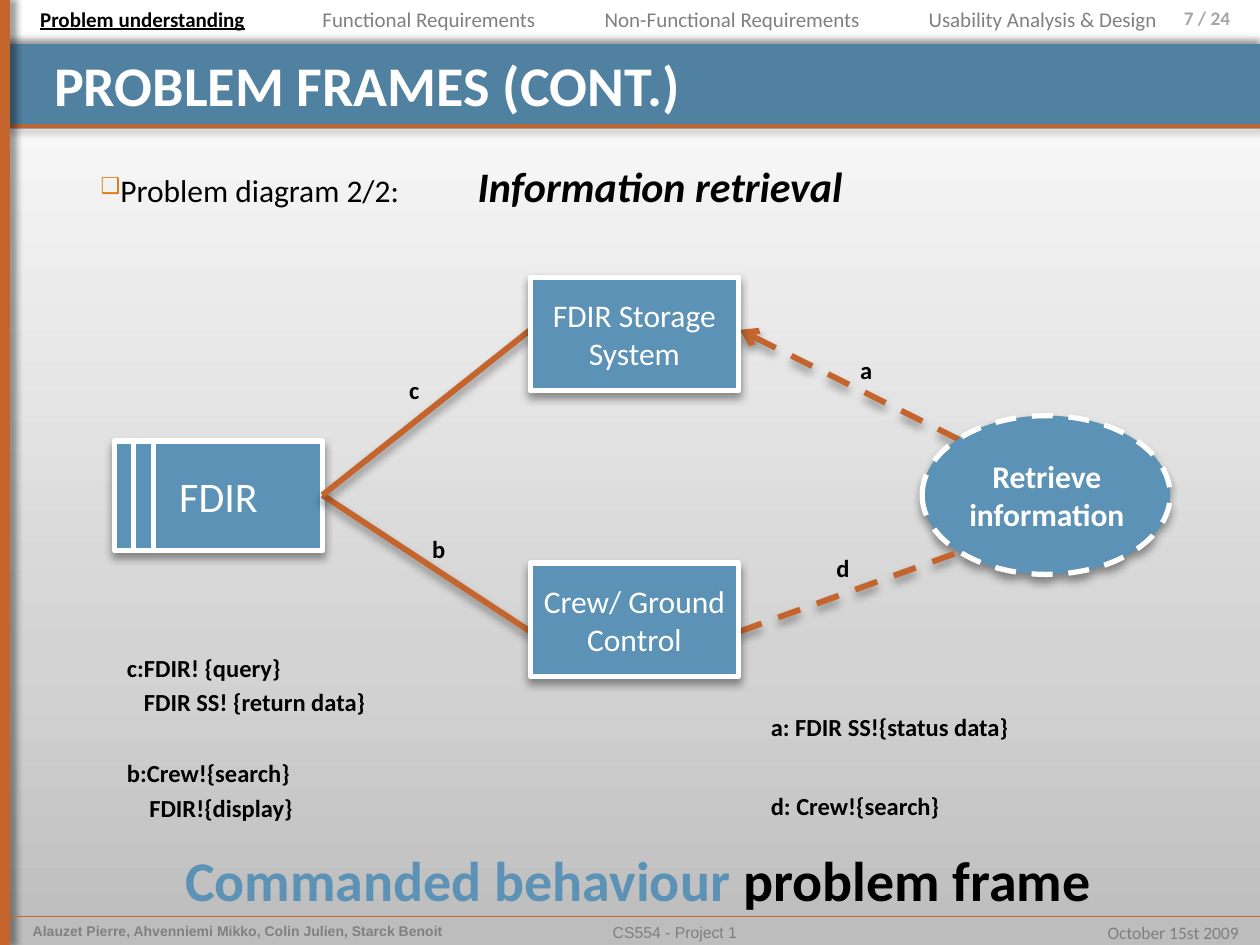
from lxml import etree
from pptx import Presentation
from pptx.dml.color import RGBColor
from pptx.enum.dml import MSO_LINE_DASH_STYLE as Dash
from pptx.enum.shapes import MSO_CONNECTOR, MSO_SHAPE as Shape
from pptx.enum.text import MSO_ANCHOR as Anchor, PP_ALIGN as Align
from pptx.oxml import parse_xml
from pptx.oxml.ns import nsdecls, qn
from pptx.util import Cm, Pt

COLORS = {
    "header": "5181A0", "accent": "C4652D", "node": "5C92B5", "white": "FFFFFF",
    "black": "000000", "grey": "808080", "footer": "7F7F7F", "number": "A6A6A6",
    "bullet": "DA7E18",
}
BACKDROP = [(0, "BDBDBD"), (30, "D3D3D3"), (100, "FFFFFF")]
DIAGRAM_SHADOW = (5.2, 90)


def color(name):
    return RGBColor.from_string(COLORS[name])


def set_font(font, size, tint="black", bold=False, name="Calibri"):
    font.name, font.size, font.bold = name, Pt(size), bold
    font.color.rgb = color(tint)


def set_shadow(item, shadow=None):
    effects = etree.SubElement(item._element.spPr, qn("a:effectLst"))
    if shadow:
        blur, angle = shadow
        effects.append(parse_xml(
            f'<a:outerShdw {nsdecls("a")} blurRad="{Pt(blur)}" dist="{Pt(3)}" '
            f'dir="{angle * 60000}" rotWithShape="0"><a:srgbClr val="000000">'
            '<a:alpha val="40000"/></a:srgbClr></a:outerShdw>'))


def set_backdrop(slide):
    fill = slide.background.fill
    fill.gradient()
    gradient = slide.background._cSld.bg.bgPr.find(qn("a:gradFill"))
    stops = gradient.find(qn("a:gsLst"))
    for stop in list(stops):
        stops.remove(stop)
    for position, tint in BACKDROP:
        stop = etree.SubElement(stops, qn("a:gs"), pos=str(position * 1000))
        etree.SubElement(stop, qn("a:srgbClr"), val=tint)
    gradient.find(qn("a:lin")).set("ang", str(270 * 60000))


def add_block(shapes, kind, box, fill, shadow, border=False, dash=None):
    block = shapes.add_shape(kind, *map(Cm, box))
    block.fill.solid()
    block.fill.fore_color.rgb = color(fill)
    if border:
        block.line.color.rgb = color("white")
        block.line.width = Pt(3)
        if dash:
            block.line.dash_style = dash
    else:
        block.line.fill.background()
    set_shadow(block, shadow)
    return block


def add_node(shapes, box, label, size=18):
    node = add_block(shapes, Shape.RECTANGLE, box, "node", DIAGRAM_SHADOW, border=True)
    frame = node.text_frame
    frame.word_wrap = True
    frame.vertical_anchor = Anchor.MIDDLE
    frame.text = label
    frame.paragraphs[0].alignment = Align.CENTER
    set_font(frame.paragraphs[0].font, size, "white")


def add_line(shapes, start, end, tint="accent", width=3.35, shadow=DIAGRAM_SHADOW,
             dash=None, arrow=False):
    line = shapes.add_connector(MSO_CONNECTOR.STRAIGHT, *map(Cm, start + end))
    line.line.color.rgb = color(tint)
    line.line.width = Pt(width)
    if dash:
        line.line.dash_style = dash
    if arrow:
        etree.SubElement(line.line._get_or_add_ln(), qn("a:tailEnd"), type="arrow")
    set_shadow(line, shadow)


def add_text(shapes, box, lines, size=14, tint="black", bold=True, name="Calibri",
             align=Align.LEFT, wrap=False, indent=0):
    frame = shapes.add_textbox(*map(Cm, box)).text_frame
    frame.word_wrap = wrap
    for index, line in enumerate(lines):
        paragraph = frame.paragraphs[0] if index == 0 else frame.add_paragraph()
        if index:
            paragraph.space_before = Pt(size * 0.2)
            paragraph._p.get_or_add_pPr().set("marL", str(Cm(indent)))
        paragraph.alignment = align
        paragraph.add_run().text = line
        set_font(paragraph.font, size, tint, bold, name)
    return frame.paragraphs[0]


def add_frame(shapes):
    add_block(shapes, Shape.RECTANGLE, (0, 0.89, 25.4, 1.7), "header", (4, 270))
    add_block(shapes, Shape.RECTANGLE, (0, 2.51, 25.4, 0.08), "accent", (4, 45))
    add_block(shapes, Shape.RECTANGLE, (0, 0, 0.2, 19.05), "accent", (4, 0))
    add_line(shapes, (0.2, 18.47), (25.4, 18.47), width=0.25, shadow=(4, 45))
    add_text(shapes, (0.41, 18.47, 9.32, 0.58),
             ["Alauzet Pierre, Ahvenniemi Mikko, Colin Julien, Starck Benoit"],
             8, "grey", name="Arial", wrap=True)
    add_text(shapes, (5.77, 18.47, 15.67, 0.58), ["CS554 - Project 1"], 9, "footer",
             bold=False, name="Arial", align=Align.CENTER, wrap=True)
    add_text(shapes, (22.02, 18.47, 3.2, 0.69), ["October 15st 2009"], 10, "footer",
             bold=False, align=Align.RIGHT)
    add_text(shapes, (22.43, 0, 2.62, 0.99), ["7 / 24"], 11, "number",
             align=Align.RIGHT, wrap=True)


def add_navigation(shapes):
    current = add_text(shapes, (0.56, 0, 4.72, 0.76), ["Problem understanding"], 12)
    current.font.underline = True
    for left, width, section in [
        (6.25, 4.88, "Functional Requirements"),
        (11.94, 5.72, "Non-Functional Requirements"),
        (18.47, 5.16, "Usability Analysis & Design"),
    ]:
        add_text(shapes, (left, 0, width, 0.76), [section], 12, "grey", bold=False)


def add_heading(shapes):
    add_text(shapes, (0.84, 0.89, 23.57, 1.47), ["PROBLEM FRAMES (CONT.)"], 32, "white",
             wrap=True)
    topic = add_text(shapes, (0.79, 3.12, 24, 15.14), ["Problem diagram 2/2:\t"], 18,
                     bold=False, wrap=True)
    properties = topic._p.get_or_add_pPr()
    properties.set("marL", "0")
    properties.set("indent", str(Cm(0.99)))
    extras = parse_xml(
        f'<a:pPr {nsdecls("a")}><a:buClr><a:srgbClr val="{COLORS["bullet"]}"/></a:buClr>'
        '<a:buSzPct val="70000"/><a:buFont typeface="Arial"/><a:buChar char="❑"/>'
        f'<a:tabLst><a:tab pos="{Cm(8.59)}" algn="l"/></a:tabLst></a:pPr>')
    for position, extra in enumerate(list(extras)):
        properties.insert(position, extra)
    subject = topic.add_run()
    subject.text = "Information retrieval"
    set_font(subject.font, 24, bold=True)
    subject.font.italic = True


def add_diagram(shapes):
    machine_side, left_side, right_side, goal_side = 6.5, 10.69, 14.91, 19.33
    storage_y, machine_y, crew_y = 6.65, 9.98, 12.73
    add_line(shapes, (goal_side, 8.86), (right_side, storage_y), dash=Dash.DASH, arrow=True)

    machine = shapes.add_group_shape().shapes
    add_node(machine, (2.31, 8.89, 4.19, 2.21), "FDIR", 24)
    for x in (2.69, 3.1):
        add_line(machine, (x, 8.89), (x, 11.1), "white", 3, shadow=None)

    goal = shapes.add_group_shape().shapes
    add_block(goal, Shape.OVAL, (18.59, 8.38, 5, 3.2), "node", DIAGRAM_SHADOW,
              border=True, dash=Dash.DASH)
    add_text(goal, (19.2, 9.09, 3.81, 1.8), ["Retrieve information"], 18, "white",
             align=Align.CENTER, wrap=True)

    add_line(shapes, (right_side, crew_y), (goal_side, 11.13), dash=Dash.DASH)
    for y in (crew_y, storage_y):
        add_line(shapes, (machine_side, machine_y), (left_side, y))
    add_node(shapes, (left_side, 11.35, 4.2, 2.29), "Crew/ Ground Control")
    add_node(shapes, (left_side, 5.59, 4.2, 2.29), "FDIR Storage System")
    for letter, x, y in [("a", 17.09, 7.04), ("b", 8.46, 10.64),
                         ("c", 8, 7.44), ("d", 16.61, 11.02)]:
        add_text(shapes, (x, y, 0.86, 0.86), [letter])


def add_legend(shapes):
    add_text(shapes, (2.31, 13.03, 5.36, 1.57),
             ["c:FDIR! {query}", "FDIR SS! {return data}"], indent=0.34)
    add_text(shapes, (2.31, 15.16, 4.06, 1.57),
             ["b:Crew!{search}", "FDIR!{display}"], indent=0.45)
    add_text(shapes, (15.29, 14.22, 5.46, 0.86), ["a: FDIR SS!{status data}"])
    add_text(shapes, (15.29, 15.82, 4.19, 0.86), ["d: Crew!{search}"])
    verdict = add_text(shapes, (3.38, 16.92, 18.97, 1.63), ["Commanded behaviour "], 32,
                       "node", align=Align.CENTER)
    ending = verdict.add_run()
    ending.text = "problem frame"
    ending.font.color.rgb = color("black")


def main():
    deck = Presentation()
    deck.slide_width, deck.slide_height = Cm(25.4), Cm(19.05)
    slide = deck.slides.add_slide(deck.slide_layouts[6])
    set_backdrop(slide)
    for add_part in (add_frame, add_heading, add_diagram, add_legend, add_navigation):
        add_part(slide.shapes)
    deck.save("out.pptx")


if __name__ == "__main__":
    main()
